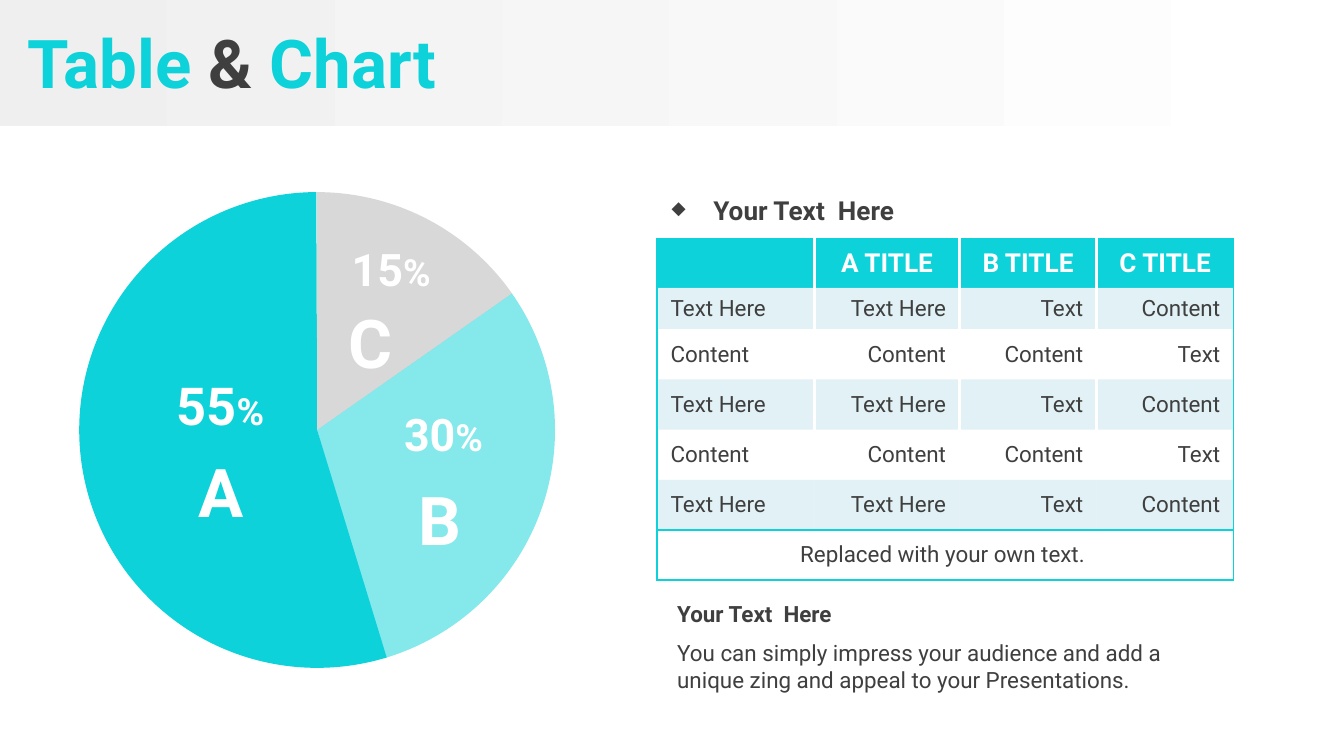
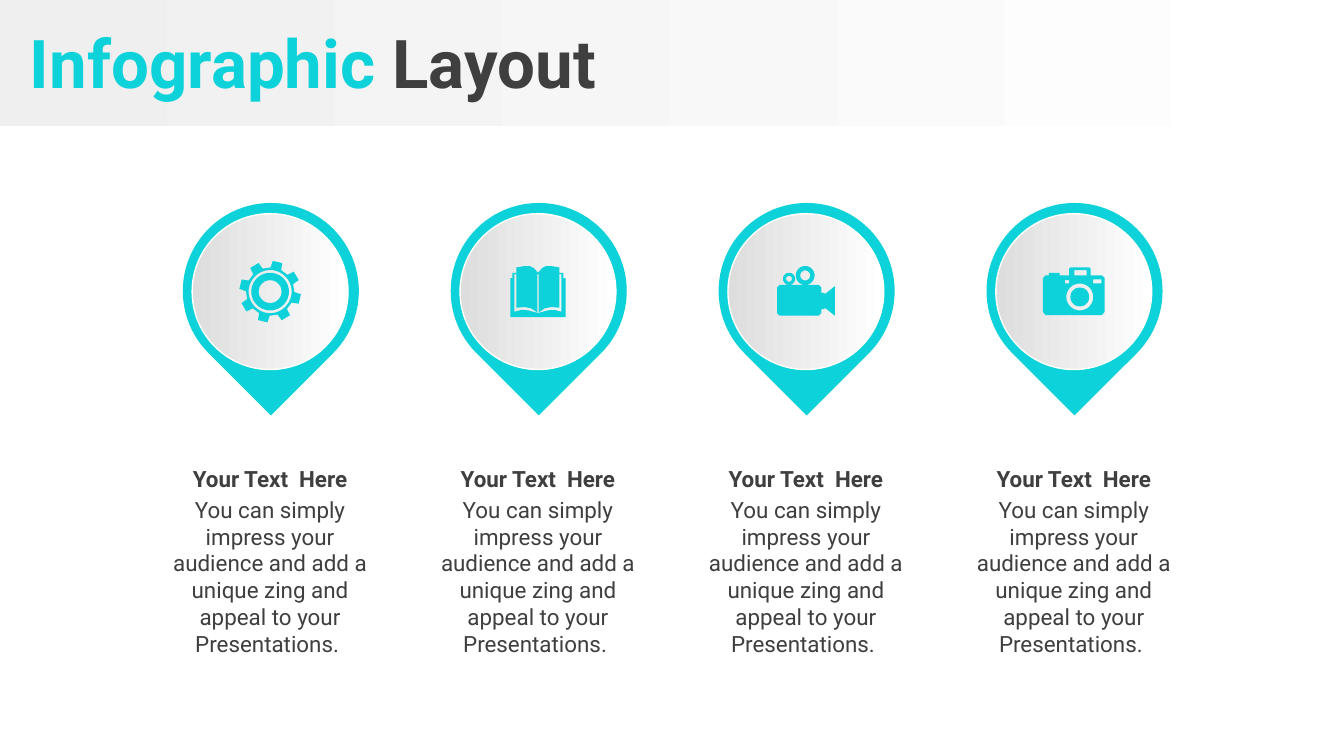
from math import cos, radians, sin

from lxml.etree import SubElement
from pptx import Presentation
from pptx.dml.color import RGBColor
from pptx.enum.shapes import MSO_SHAPE
from pptx.enum.text import MSO_ANCHOR, PP_ALIGN
from pptx.oxml.ns import qn
from pptx.util import Inches, Pt

COLORS = {
    "cyan": "0DD2D9",
    "dark": "3F3F3F",
    "white": "FFFFFF",
    "grey": "D8D8D8",
    "band": "EFEFEF",
    "disc": "DDDDDD",
    "pale": "B6DDE7",
}
FONT = "Roboto"
HEAD = "Your Text  Here"
BODY = ("You can simply impress your audience and add a unique zing "
        "and appeal to your Presentations.")
NO_STYLE = "{2D5ABB26-0587-4C30-8999-92F81FD0307C}"


def rgb(name):
    return RGBColor.from_string(COLORS[name])


# Fills and text
def paint(fill, color, alpha=None):
    fill.solid()
    fill.fore_color.rgb = rgb(color)
    if alpha:
        node = fill.fore_color._xFill.find(qn("a:srgbClr"))
        SubElement(node, qn("a:alpha"), val=str(alpha * 1000))


def fade(fill, start, end="white"):
    fill.gradient()
    fill.gradient_angle = 0
    for stop, color in zip(fill.gradient_stops, (start, end)):
        stop.color.rgb = rgb(color)


def write(frame, parts, size, color="dark", bold=False, align=PP_ALIGN.LEFT):
    """Fill one paragraph; each part is (text, own size, own colour)."""
    para = frame.paragraphs[0]
    para.alignment = align
    font = para.font
    font.name, font.size, font.bold = FONT, Pt(size), bold
    font.color.rgb = rgb(color)
    for text, own_size, own_color in parts:
        run = para.add_run()
        run.text = text
        if own_size:
            run.font.size = Pt(own_size)
        if own_color:
            run.font.color.rgb = rgb(own_color)
    if not parts:
        SubElement(para._p, qn("a:endParaRPr"), sz=str(size * 100))
    return para


def label(slide, box, text, size, **style):
    frame = slide.shapes.add_textbox(*map(Inches, box)).text_frame
    frame.word_wrap = True
    parts = [(text, None, None)] if isinstance(text, str) else text
    return frame, write(frame, parts, size, **style)


def shape(slide, kind, box):
    item = slide.shapes.add_shape(kind, *map(Inches, box))
    item.shadow.inherit = False
    item.line.fill.background()
    return item


# Band and title of every slide
def start(deck, *words):
    slide = deck.slides.add_slide(deck.slide_layouts[6])
    fade(shape(slide, MSO_SHAPE.RECTANGLE, (0, 0, 9.96, 0.94)).fill, "band")
    parts = [(text, None, color) for text, color in words]
    frame, _ = label(slide, (0, 0.03, 10, 0.85), parts, 36, bold=True)
    frame.vertical_anchor = MSO_ANCHOR.MIDDLE
    return slide


# Pie of three slices; angles run clockwise from three o'clock
def pie(slide):
    slices = [(73, 269.8, "cyan", None), (269.9, 325, "grey", None),
              (325, 73.7, "cyan", 50)]
    for begin, end, color, alpha in slices:
        item = shape(slide, MSO_SHAPE.PIE, (0.59, 1.43, 3.54, 3.54))
        item.adjustments[0] = begin * 0.6
        item.adjustments[1] = end * 0.6
        paint(item.fill, color, alpha)

    white = dict(color="white", bold=True, align=PP_ALIGN.CENTER)
    shares = [("A", "55", 28, (1.13, 2.73), 0.57, (1.35, 3.3)),
              ("B", "30", 24, (2.79, 2.98), 0.5, (2.98, 3.51)),
              ("C", "15", 24, (2.4, 1.75), 0.5, (2.46, 2.19))]
    for name, share, size, spot, height, base in shares:
        parts = [(share, None, None), ("%", 20, None)]
        label(slide, (*spot, 1.02, height), parts, size, **white)
        label(slide, (*base, 0.59, 0.71), name, 36, **white)


# Table
def edge(cell, side, color, width):
    line = SubElement(cell._tc.get_or_add_tcPr(), qn("a:ln" + side),
                      w=str(Pt(width)), cap="flat", cmpd="sng", algn="ctr")
    fill = SubElement(line, qn("a:solidFill"))
    SubElement(fill, qn("a:srgbClr"), val=COLORS[color])
    SubElement(line, qn("a:prstDash"), val="solid")


def border(cell, row, col, last_row, last_col):
    outer, inner = ("cyan", 1), ("white", 2.25)
    split, foot = row < 4, row == last_row
    if col == 0 or split or foot:
        edge(cell, "L", *(outer if col == 0 or foot else inner))
    if col == last_col or split or foot:
        edge(cell, "R", *(outer if col == last_col or foot else inner))
    if row == 0 or foot:
        edge(cell, "T", *outer)
    if row >= last_row - 1:
        edge(cell, "B", *outer)


def grid(slide):
    odd = ["Text Here", "Text Here", "Text", "Content"]
    even = ["Content", "Content", "Content", "Text"]
    rows = [["", "A TITLE", "B TITLE", "C TITLE"], odd, even, odd, even, odd,
            ["Replaced with your own text. ", "", "", ""]]
    widths = [1.17, 1.08, 1.02, 1.02]
    heights = [0.36, 0.31] + [(2.54 - 0.67) / 5] * 5
    last_row, last_col = len(rows) - 1, len(widths) - 1

    box = (4.89, 1.78, sum(widths), sum(heights))
    table = slide.shapes.add_table(len(rows), len(widths),
                                   *map(Inches, box)).table
    table.first_row = table.horz_banding = False
    table._tbl.tblPr.find(qn("a:tableStyleId")).text = NO_STYLE
    for column, width in zip(table.columns, widths):
        column.width = Inches(width)
    for line, height in zip(table.rows, heights):
        line.height = Inches(height)

    for row, texts in enumerate(rows):
        top = row == 0
        for col, text in enumerate(texts):
            cell = table.cell(row, col)
            cell.vertical_anchor = MSO_ANCHOR.MIDDLE
            border(cell, row, col, last_row, last_col)
            if top:
                paint(cell.fill, "cyan")
            elif row % 2:
                paint(cell.fill, "pale", 40)
            else:
                paint(cell.fill, "white")
            if top or row == last_row:
                align = PP_ALIGN.CENTER
            else:
                align = PP_ALIGN.RIGHT if col else PP_ALIGN.LEFT
            write(cell.text_frame, [(text, None, None)] if text else [],
                  14 if top else 12, "white" if top else "dark", top, align)
    table.cell(last_row, 0).merge(table.cell(last_row, last_col))


def bullet(para, mark):
    props = para._p.get_or_add_pPr()
    props.set("marL", str(Inches(0.31)))
    props.set("indent", str(-Inches(0.31)))
    tint = props.makeelement(qn("a:buClr"), {})
    SubElement(tint, qn("a:srgbClr"), val=COLORS["dark"])
    size = props.makeelement(qn("a:buSzPct"), {"val": "70000"})
    char = props.makeelement(qn("a:buChar"), {"char": mark})
    for i, node in enumerate((tint, size, char)):
        props.insert(i, node)


# Icon outlines, in hundredths of an inch from the middle of a pin
def ring(x, y, size, steps=48):
    turns = [radians(360 * i / steps) for i in range(steps)]
    return [(x + size * cos(t), y + size * sin(t)) for t in turns]


def rect(left, top, right, bottom, cut=0):
    return [(left + cut, top), (right - cut, top), (right, top + cut),
            (right, bottom - cut), (right - cut, bottom),
            (left + cut, bottom), (left, bottom - cut), (left, top + cut)]


def mirror(half):
    return half + [(-x, y) for x, y in reversed(half)]


def gear():
    teeth = []
    for i in range(8):
        for size, turn in ((18, -13), (23, -9), (23, 9), (18, 13)):
            t = radians(45 * i - 76 + turn)
            teeth.append((size * cos(t), size * sin(t)))
    return [teeth] + [ring(0, 0, size) for size in (16, 14, 8.5)]


def book():
    cover = [(0, -14), (3, -17.5), (6, -19), (10, -19), (16, -18), (16, -14),
             (19, -14), (19, -10), (20.5, -10), (20.5, 19)]
    gap = [(0, -13), (0.5, -13), (0.5, 15.5), (5, 12.5), (10, 11.5), (16, 12),
           (16, -13), (17.5, -13), (17.5, 15), (12, 13.5), (7, 14), (0, 16)]
    return [mirror(cover), mirror(gap)]


def video():
    horn = [(11.5, 1), (14, 1), (14, 2), (21.5, -4), (21.5, 18), (14, 12),
            (14, 13), (11.5, 13)]
    return [rect(-21.5, -5, 11.5, 18, 2), horn,
            ring(-12.5, -9.5, 4.5), ring(-12.5, -9.5, 2.2),
            ring(-0.5, -12, 7), ring(-0.5, -12, 3.7)]


def camera():
    body = [(-21, -12), (-18.5, -12), (-18.5, -14), (-10.5, -14),
            (-10.5, -12), (-3.5, -12), (-3.5, -17), (-2.5, -18), (11.5, -18),
            (12.5, -17), (12.5, -12), (21, -12), (23, -10), (23, 15),
            (21, 17.5), (-21, 17.5), (-23, 15), (-23, -10)]
    return [body, rect(0.5, -16, 9.5, -12), rect(-6.5, -8.5, -3.5, -6),
            rect(14.5, -9, 20.5, -6), ring(4.5, 4, 10), ring(4.5, 4, 7)]


def icon(slide, x, y, loops):
    build = None
    for loop in loops:
        points = [(x * 1000 + 10 * dx, y * 1000 + 10 * dy) for dx, dy in loop]
        if build is None:
            build = slide.shapes.build_freeform(*points[0],
                                                scale=Inches(1) / 1000)
        else:
            build.move_to(*points[0])
        build.add_line_segments(points[1:], close=True)
    item = build.convert_to_shape()
    item.shadow.inherit = False
    item.line.fill.background()
    paint(item.fill, "cyan")


# Pin with disc, icon and caption
def pin(slide, x, loops):
    drop = shape(slide, MSO_SHAPE.TEAR, (x - 0.65, 1.51, 1.31, 1.31))
    drop.rotation = 135
    paint(drop.fill, "cyan")
    disc = shape(slide, MSO_SHAPE.OVAL, (x - 0.58, 1.59, 1.16, 1.16))
    fade(disc.fill, "disc")
    paint(disc.line.fill, "white")
    disc.line.width = Pt(0.75)
    icon(slide, x, 2.17, loops)
    center = PP_ALIGN.CENTER
    label(slide, (x - 0.85, 3.64, 1.7, 1.31), BODY + " ", 12, align=center)
    label(slide, (x - 0.85, 3.41, 1.7, 0.3), HEAD, 12, bold=True, align=center)


def main():
    deck = Presentation()
    deck.slide_width, deck.slide_height = Inches(10), Inches(10 * 9 / 16)

    # Slide 1: pie and table
    slide = start(deck, (" Table", "cyan"), (" & ", "dark"), ("Chart", "cyan"))
    pie(slide)
    grid(slide)
    _, para = label(slide, (4.9, 1.4, 2.36, 0.34), HEAD, 14, bold=True)
    bullet(para, "◆")
    label(slide, (4.94, 4.71, 4.19, 0.5), BODY, 12)
    label(slide, (4.94, 4.42, 4.19, 0.3), HEAD, 12, bold=True)

    # Slide 2: four pins
    slide = start(deck, (" Infographic ", "cyan"), ("Layout", "dark"))
    first, last = 2.01, 7.99
    icons = [gear(), book(), video(), camera()]
    for i, loops in enumerate(icons):
        pin(slide, first + i * (last - first) / (len(icons) - 1), loops)

    deck.save("out.pptx")


if __name__ == "__main__":
    main()
